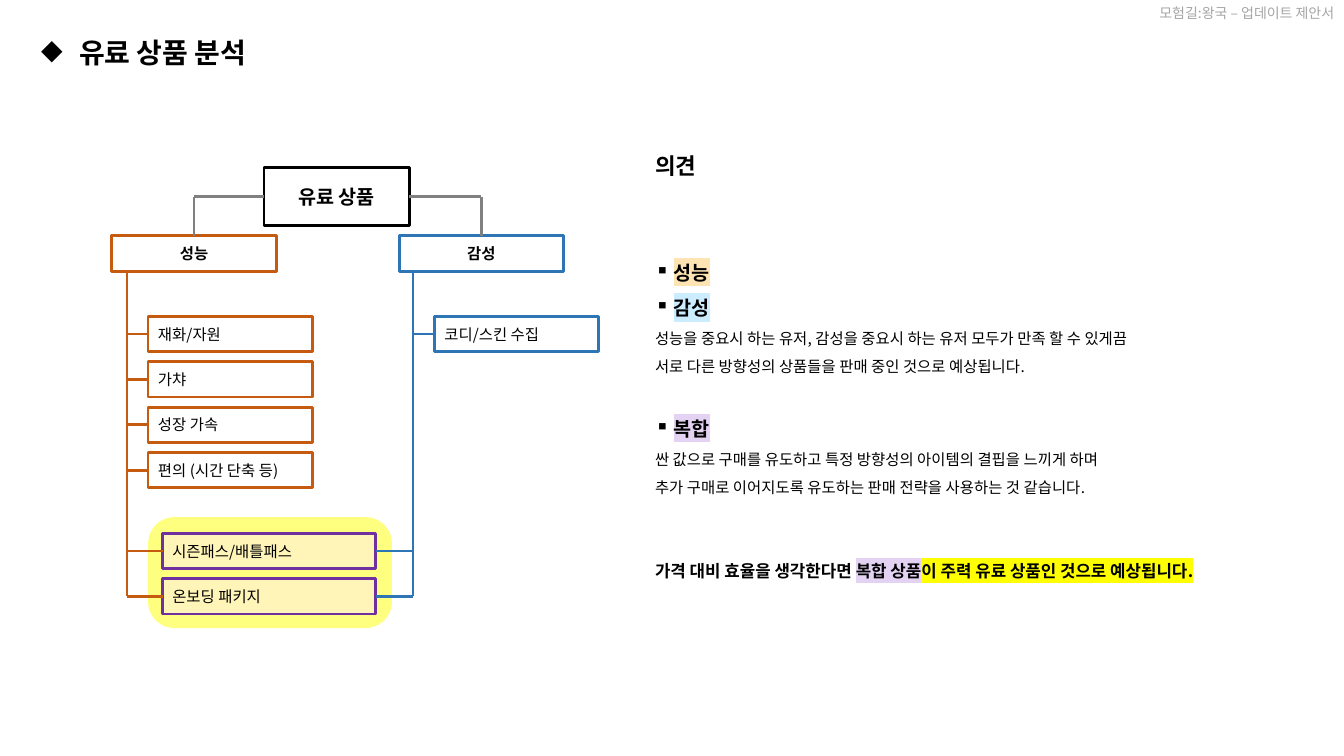
"""Builds a slide that sorts paid products into a tree and gives an opinion."""
from lxml import etree
from pptx import Presentation
from pptx.dml.color import RGBColor
from pptx.enum import shapes, text
from pptx.oxml.ns import qn
from pptx.util import Pt

FONT = "Noto Sans CJK KR"
COLORS = {
    "black": "000000", "white": "FFFFFF", "header": "A5A5A5", "gray": "808080",
    "orange": "C55A11", "blue": "2E75B6", "purple": "7030A0", "cream": "FFF5B9",
    "yellow": "FFFF00", "peach": "FFE4B3", "sky": "CCECFF", "lilac": "E4D2F2",
}
LEFT, CENTER, RIGHT = text.PP_ALIGN.LEFT, text.PP_ALIGN.CENTER, text.PP_ALIGN.RIGHT
BOX_W, BOX_H = 117.4, 25.2
ROW_TOP, MIXED_TOP, ROW_PITCH = 226, 381, 32.4
BRANCH_TOP = 168.5


def rgb(name):
    return RGBColor.from_string(COLORS[name])


def style_run(r, size, color="black", bold=False, highlight=None):
    r.font.size, r.font.bold = Pt(size), bold
    r.font.color.rgb = rgb(color)
    r.font.name = FONT
    latin = r._r.rPr.find(qn("a:latin"))
    ea = etree.Element(qn("a:ea"), typeface=FONT)
    latin.addnext(ea)
    if highlight:
        mark = etree.Element(qn("a:highlight"))
        etree.SubElement(mark, qn("a:srgbClr"), val=COLORS[highlight])
        latin.addprevious(mark)


def set_bullet(p, char, indent):
    pPr = p._p.get_or_add_pPr()
    pPr.set("marL", str(Pt(indent)))
    pPr.set("indent", str(-Pt(indent)))
    etree.SubElement(pPr, qn("a:buChar"), char=char)


def add_paragraph(p, parts, size, bold=False, before=0, bullet=None, indent=13.5):
    p.line_spacing, p.space_before = 1.5, Pt(before)
    if bullet:
        set_bullet(p, bullet, indent)
    p.text = parts[0][0]
    for words, _ in parts[1:]:
        p.add_run().text = words
    highlights = [highlight for _, highlight in parts]
    if len(parts) == 1:
        highlights *= len(p.runs)
    for r, highlight in zip(p.runs, highlights):
        style_run(r, size, bold=bold, highlight=highlight)


def add_textbox(s, left, top, width, height):
    tf = s.shapes.add_textbox(Pt(left), Pt(top), Pt(width), Pt(height)).text_frame
    tf.word_wrap = True
    tf.auto_size = text.MSO_AUTO_SIZE.SHAPE_TO_FIT_TEXT
    return tf


def add_box(s, words, left, top, line, width=BOX_W, height=BOX_H,
            fill="white", size=11, bold=False, align=LEFT):
    sp = s.shapes.add_shape(shapes.MSO_SHAPE.RECTANGLE,
                            Pt(left), Pt(top), Pt(width), Pt(height))
    sp.shadow.inherit = False
    sp.fill.solid()
    sp.fill.fore_color.rgb = rgb(fill)
    sp.line.color.rgb, sp.line.width = rgb(line), Pt(2)
    tf = sp.text_frame
    tf.text = words
    tf.vertical_anchor = text.MSO_ANCHOR.MIDDLE
    tf.paragraphs[0].alignment = align
    style_run(tf.paragraphs[0].runs[0], size, bold=bold)


def add_line(s, x1, y1, x2, y2, color):
    line = s.shapes.add_connector(shapes.MSO_CONNECTOR.STRAIGHT,
                                  Pt(x1), Pt(y1), Pt(x2), Pt(y2))
    line.line.color.rgb, line.line.width = rgb(color), Pt(2)
    etree.SubElement(line._element.spPr, qn("a:effectLst"))


def add_glow(s):
    sp = s.shapes.add_shape(shapes.MSO_SHAPE.ROUNDED_RECTANGLE,
                            Pt(105.8), Pt(369.4), Pt(174.2), Pt(79.2))
    sp.shadow.inherit = False
    sp.adjustments[0] = 0.238
    sp.fill.solid()
    sp.fill.fore_color.rgb = rgb("yellow")
    sp.line.fill.background()
    color = sp._element.spPr.find(qn("a:solidFill"))[0]
    etree.SubElement(color, qn("a:alpha"), val="50000")


def add_branch(s, name, left, trunk, item_left, root_edge, color, items):
    add_box(s, name, left, BRANCH_TOP, color, bold=True, align=CENTER)
    middle = left + BOX_W / 2
    add_line(s, root_edge, 140.4, middle, 140.4, "gray")
    add_line(s, middle, 140.4, middle, BRANCH_TOP, "gray")
    for i, item in enumerate(items):
        top = ROW_TOP + i * ROW_PITCH
        add_box(s, item, item_left, top, color)
        add_line(s, item_left, top + BOX_H / 2, trunk, top + BOX_H / 2, color)
    bottom = MIXED_TOP + ROW_PITCH + BOX_H / 2
    add_line(s, trunk, BRANCH_TOP + BOX_H, trunk, bottom, color)


def add_tree(s):
    add_glow(s)
    add_box(s, "유료 상품", 188.6, 119.5, "black", 103.7, 41.8,
            size=14, bold=True, align=CENTER)
    add_branch(s, "성능", 79.9, 90.7, 105.8, 188.6, "orange",
               ["재화/자원", "가챠", "성장 가속", "편의 (시간 단축 등)"])
    add_branch(s, "감성", 285.1, 295, 310.3, 292.3, "blue", ["코디/스킨 수집"])
    for i, item in enumerate(["시즌패스/배틀패스", "온보딩 패키지"]):
        top = MIXED_TOP + i * ROW_PITCH
        middle = top + BOX_H / 2
        add_box(s, item, 116, top, "purple", width=152, fill="cream")
        add_line(s, 116.6, middle, 90.7, middle, "orange")
        add_line(s, 295, middle, 268.5, middle, "blue")


def add_opinion(s):
    tf = add_textbox(s, 460.8, 95.8, 464.4, 324)
    paragraphs = [
        dict(parts=[("의견", None)], size=16, bold=True),
        dict(parts=[("성능", "peach")], size=14, bold=True, before=50, bullet="▪"),
        dict(parts=[("감성", "sky")], size=14, bold=True, bullet="▪"),
        dict(parts=[("성능을 중요시 하는 유저, 감성을 중요시 하는 유저 모두가 만족 할 수 있게끔\v"
                     "서로 다른 방향성의 상품들을 판매 중인 것으로 예상됩니다.", None)], size=11),
        dict(parts=[("복합", "lilac")], size=14, bold=True, before=21.5, bullet="▪"),
        dict(parts=[("싼 값으로 구매를 유도하고 특정 방향성의 아이템의 결핍을 느끼게 하며\v"
                     "추가 구매로 이어지도록 유도하는 판매 전략을 사용하는 것 같습니다.", None)], size=11),
        dict(parts=[("가격 대비 효율을 생각한다면 ", None), ("복합 상품", "lilac"),
                    ("이 주력 유료 상품인 것으로 예상됩니다.", "yellow")],
             size=12, bold=True, before=39),
    ]
    for i, paragraph in enumerate(paragraphs):
        add_paragraph(tf.add_paragraph() if i else tf.paragraphs[0], **paragraph)


def add_headings(s):
    p = add_textbox(s, 274.3, 0, 685.7, 19.4).paragraphs[0]
    p.text = "모험길:왕국 – 업데이트 제안서"
    p.alignment = RIGHT
    style_run(p.runs[0], 10, "header")
    p = add_textbox(s, 22.3, 10.1, 733.7, 38.9).paragraphs[0]
    add_paragraph(p, [(" 유료 상품 분석", None)], 20, bold=True, bullet="◆", indent=22.5)


def main():
    prs = Presentation()
    prs.slide_width, prs.slide_height = Pt(960), Pt(540)
    s = prs.slides.add_slide(prs.slide_layouts[6])
    add_headings(s)
    add_tree(s)
    add_opinion(s)
    prs.save("out.pptx")


if __name__ == "__main__":
    main()
